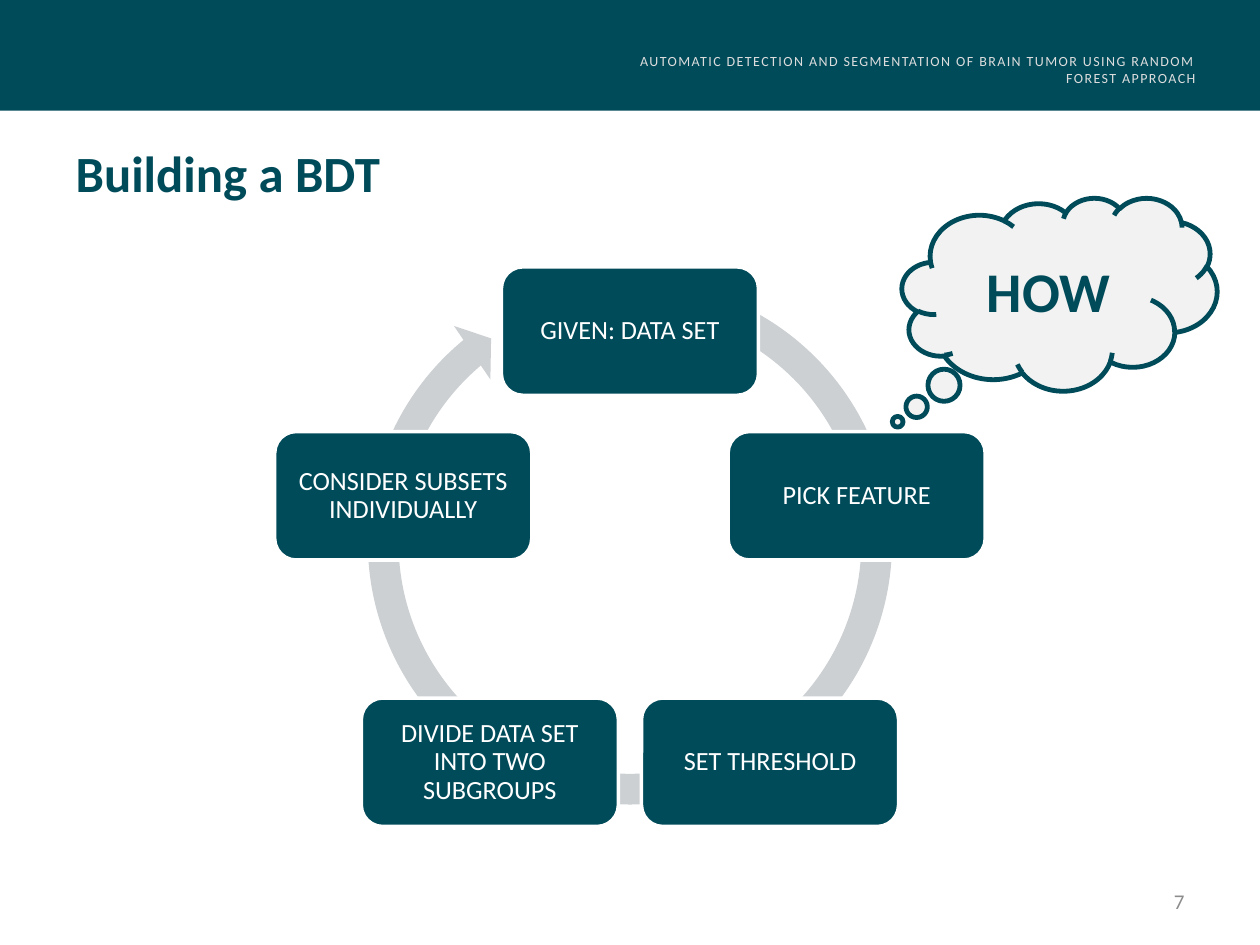
from dataclasses import dataclass
from math import cos, radians, sin

from lxml.etree import SubElement
from pptx import Presentation
from pptx.dml.color import RGBColor
from pptx.enum.shapes import MSO_SHAPE
from pptx.enum.text import MSO_ANCHOR, MSO_AUTO_SIZE, PP_ALIGN
from pptx.oxml import parse_xml
from pptx.oxml.ns import nsdecls, qn
from pptx.util import Pt


@dataclass(frozen=True)
class Theme:
    font: str = "Calibri"
    teal: str = "004B5A"
    ring: str = "CCD0D2"
    cloud: str = "F2F2F2"
    white: str = "FFFFFF"
    header: str = "DDDDDD"
    number: str = "8C8C8C"
    title_size: float = 29
    node_size: float = 15
    cloud_size: float = 32
    header_size: float = 8
    number_size: float = 12


@dataclass(frozen=True)
class Box:
    x: float
    y: float
    w: float
    h: float

    def lengths(self):
        return Pt(self.x), Pt(self.y), Pt(self.w), Pt(self.h)


@dataclass(frozen=True)
class Cycle:
    cx: float = 360
    cy: float = 325.4
    radius: float = 136.2
    node_w: float = 146.9
    node_h: float = 73.4

    def node(self, i: int, count: int) -> Box:
        a = radians(360 * i / count - 90)
        return Box(self.cx + self.radius * cos(a) - self.node_w / 2,
                   self.cy + self.radius * sin(a) - self.node_h / 2,
                   self.node_w, self.node_h)


T = Theme()
STEPS = ["GIVEN: DATA SET", "PICK FEATURE", "SET THRESHOLD",
         "DIVIDE DATA SET INTO TWO SUBGROUPS", "CONSIDER SUBSETS INDIVIDUALLY"]


def rgb(color: str) -> RGBColor:
    return RGBColor.from_string(color)


def write(sp, text: str, size: float, color: str, align, anchor=MSO_ANCHOR.MIDDLE,
          bold: bool = False):
    tf = sp.text_frame
    tf.word_wrap = True
    tf.auto_size = MSO_AUTO_SIZE.NONE
    tf.vertical_anchor = anchor
    p = tf.paragraphs[0]
    p.alignment = align
    r = p.add_run()
    r.text = text
    r.font.name, r.font.size, r.font.bold = T.font, Pt(size), bold
    r.font.color.rgb = rgb(color)
    return r


def shape(s, kind, box: Box, fill: str, line: str = "", width: float = 0, adj=()):
    sp = s.shapes.add_shape(kind, *box.lengths())
    sp.shadow.inherit = False
    sp.fill.solid()
    sp.fill.fore_color.rgb = rgb(fill)
    if line:
        sp.line.color.rgb = rgb(line)
        sp.line.width = Pt(width)
    else:
        sp.line.fill.background()
    for i, value in enumerate(adj):
        sp.adjustments[i] = value
    return sp


def node(s, box: Box, text: str) -> None:
    sp = shape(s, MSO_SHAPE.ROUNDED_RECTANGLE, box, T.teal, T.white, 2)
    write(sp, text, T.node_size, T.white, PP_ALIGN.CENTER)
    tf = sp.text_frame
    tf.margin_left = tf.margin_right = tf.margin_top = tf.margin_bottom = Pt(4.5)
    tf.paragraphs[0].line_spacing = 0.9


def outline(r, color: str, width: float) -> None:
    ln = parse_xml(f'<a:ln {nsdecls("a")} w="{Pt(width)}"/>')
    fill = SubElement(ln, qn("a:solidFill"))
    SubElement(fill, qn("a:srgbClr")).set("val", color)
    r.font._element.insert(0, ln)


def main() -> None:
    prs = Presentation()
    prs.slide_width, prs.slide_height = Pt(720), Pt(540)
    s = prs.slides.add_slide(prs.slide_layouts[5])

    shape(s, MSO_SHAPE.RECTANGLE, Box(0, 0, 720, 63.2), T.teal)
    number = s.shapes.add_textbox(*Box(516, 500.4, 168, 28.8).lengths())
    write(number, "7", T.number_size, T.number, PP_ALIGN.RIGHT)
    header = s.shapes.add_textbox(*Box(332.6, 26.6, 357.8, 26.6).lengths())
    r = write(header, "AUTOMATIC DETECTION AND SEGMENTATION OF BRAIN TUMOR USING "
              "RANDOM FOREST APPROACH", T.header_size, T.header, PP_ALIGN.RIGHT,
              MSO_ANCHOR.TOP)
    r.font._element.set("spc", "80")

    title = s.shapes.title
    title.left, title.top, title.width, title.height = Box(36, 76.3, 648, 43.9).lengths()
    write(title, "Building a BDT", T.title_size, T.teal, PP_ALIGN.LEFT, bold=True)

    shape(s, MSO_SHAPE.CIRCULAR_ARROW, Box(200.5, 150.5, 319, 319), T.ring,
          adj=(0.055, 3.307, 138.152, 173.621, 0.058))
    cycle = Cycle()
    for i, step in enumerate(STEPS):
        node(s, cycle.node(i, len(STEPS)), step)

    cloud = shape(s, MSO_SHAPE.CLOUD_CALLOUT, Box(515.5, 113, 180, 110.2), T.cloud,
                  T.teal, 2.75, (-0.514, 0.662))
    r = write(cloud, "HOW", T.cloud_size, T.teal, PP_ALIGN.CENTER, bold=True)
    outline(r, T.teal, 0.75)

    prs.save("out.pptx")


if __name__ == "__main__":
    main()
